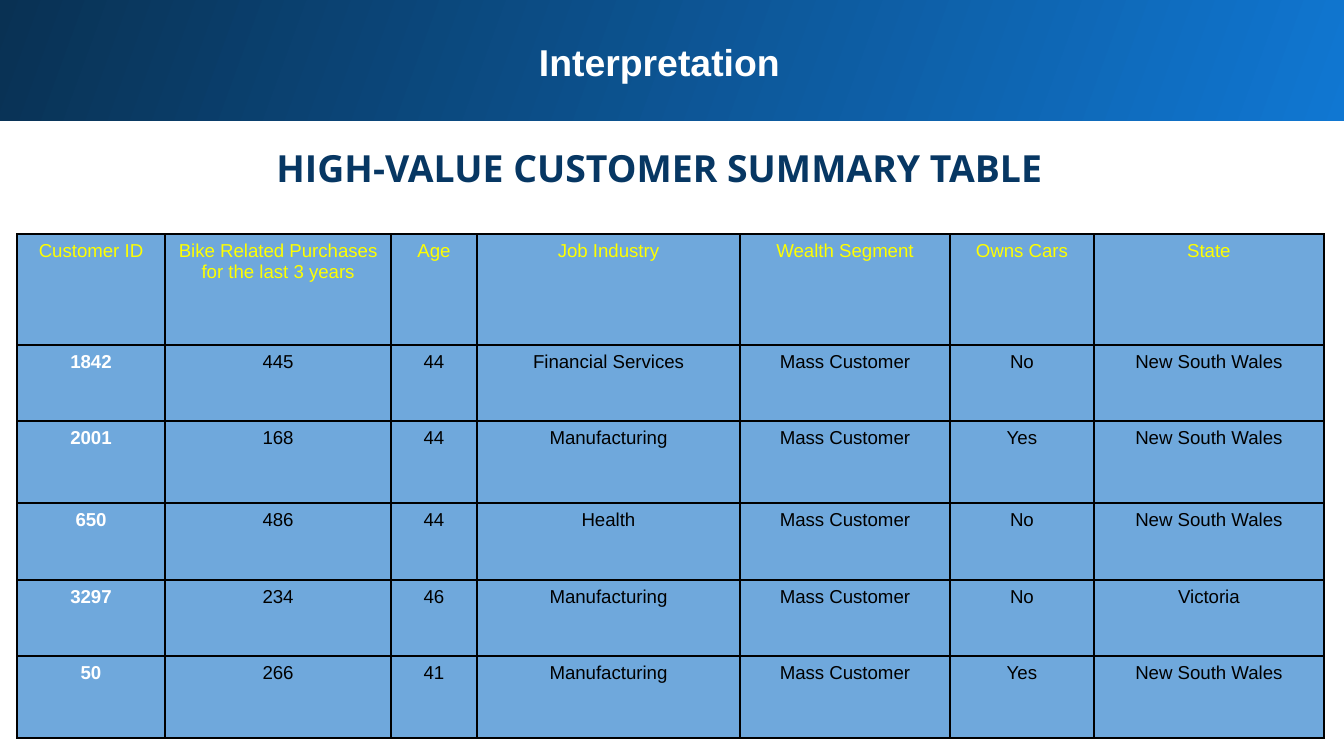
from dataclasses import dataclass

from lxml.etree import SubElement
from pptx import Presentation
from pptx.dml.color import RGBColor
from pptx.enum.shapes import MSO_SHAPE
from pptx.enum.text import MSO_ANCHOR, MSO_AUTO_SIZE, PP_ALIGN
from pptx.oxml.ns import qn
from pptx.util import Emu, Inches, Pt

EMU_PER_PX = 914400 / 134.4
CELL_FILL = "6FA8DC"
BORDER = "000000"


@dataclass(frozen=True)
class Box:
    """Position and size in px."""
    left: int
    top: int
    width: int
    height: int

    def emu(self) -> tuple:
        """Return the four lengths in EMU."""
        return tuple(px(n) for n in (self.left, self.top, self.width, self.height))


@dataclass(frozen=True)
class TextStyle:
    """Font settings of a paragraph."""
    size: int
    colour: str
    bold: bool = False
    font: str = "Arial"


@dataclass(frozen=True)
class Customer:
    """One row of the summary table."""
    customer_id: int
    purchases: int
    age: int
    industry: str
    owns_cars: str
    state: str = "New South Wales"
    segment: str = "Mass Customer"

    def values(self) -> tuple:
        """Return the cell texts in column order."""
        return (str(self.customer_id), str(self.purchases), str(self.age),
                self.industry, self.segment, self.owns_cars, self.state)


HEADING = TextStyle(20, "FFFFFF", bold=True)
SUBHEADING = TextStyle(20, "073763", bold=True, font="Open Sans")
COLUMN_HEAD = TextStyle(10, "FFFF00")
ID_CELL = TextStyle(10, "FFFFFF", bold=True)
BODY_CELL = TextStyle(10, "000000")

COLUMNS = {
    "Customer ID": 148,
    "Bike Related Purchases for the last 3 years": 226,
    "Age": 86,
    "Job Industry": 263,
    "Wealth Segment": 210,
    "Owns Cars": 144,
    "State": 230,
}
ROW_HEIGHTS = (111, 76, 82, 77, 76, 82)
CUSTOMERS = (
    Customer(1842, 445, 44, "Financial Services", "No"),
    Customer(2001, 168, 44, "Manufacturing", "Yes"),
    Customer(650, 486, 44, "Health", "No"),
    Customer(3297, 234, 46, "Manufacturing", "No", "Victoria"),
    Customer(50, 266, 41, "Manufacturing", "Yes"),
)


def px(length: int) -> Emu:
    """Turn px into EMU."""
    return Emu(round(length * EMU_PER_PX))


def rgb(colour: str) -> RGBColor:
    """Turn a hex string into a colour."""
    return RGBColor.from_string(colour)


def write(frame, text: str, style: TextStyle):
    """Fill a text frame with one centred paragraph and return it."""
    frame.text = text
    frame.word_wrap = True
    paragraph = frame.paragraphs[0]
    paragraph.alignment = PP_ALIGN.CENTER
    font = paragraph.font
    font.name, font.size, font.bold = style.font, Pt(style.size), style.bold
    font.color.rgb = rgb(style.colour)
    return paragraph


def place_text(shape, box: Box, text: str, style: TextStyle):
    """Position a text shape, write its text and return the paragraph."""
    shape.left, shape.top, shape.width, shape.height = box.emu()
    frame = shape.text_frame
    frame.auto_size = MSO_AUTO_SIZE.NONE
    frame.vertical_anchor = MSO_ANCHOR.TOP
    frame.margin_left = frame.margin_right = Inches(0.1)
    frame.margin_top = frame.margin_bottom = Inches(0.1)
    return write(frame, text, style)


def add_banner(slide, box: Box) -> None:
    """Draw the gradient banner behind the title."""
    banner = slide.shapes.add_shape(MSO_SHAPE.RECTANGLE, *box.emu())
    banner.shadow.inherit = False
    banner.line.fill.background()
    banner.fill.gradient()
    banner.fill.gradient_angle = 160
    for stop, colour in zip(banner.fill.gradient_stops, ("1077D2", "093153")):
        stop.color.rgb = rgb(colour)
    slide.shapes.title.element.addprevious(banner.element)


def format_cell(cell, text: str, style: TextStyle) -> None:
    """Write a cell and give it borders and a fill."""
    write(cell.text_frame, text, style)
    cell.margin_left = cell.margin_right = Inches(0.1)
    cell.margin_top = cell.margin_bottom = Inches(0.05)
    properties = cell.text_frame._txBody.getparent().get_or_add_tcPr()
    for side in ("a:lnL", "a:lnR", "a:lnT", "a:lnB"):
        line = SubElement(properties, qn(side), w=str(Pt(1)))
        solid = SubElement(line, qn("a:solidFill"))
        SubElement(solid, qn("a:srgbClr"), val=BORDER)
    cell.fill.solid()
    cell.fill.fore_color.rgb = rgb(CELL_FILL)


def add_customer_table(slide, left: int, top: int) -> None:
    """Draw the table of high-value customers."""
    box = Box(left, top, sum(COLUMNS.values()), sum(ROW_HEIGHTS))
    table = slide.shapes.add_table(len(ROW_HEIGHTS), len(COLUMNS), *box.emu()).table
    table.horz_banding = False
    for column, width in zip(table.columns, COLUMNS.values()):
        column.width = px(width)
    for row, height in zip(table.rows, ROW_HEIGHTS):
        row.height = px(height)
    for c, heading in enumerate(COLUMNS):
        format_cell(table.cell(0, c), heading, COLUMN_HEAD)
    for r, customer in enumerate(CUSTOMERS, start=1):
        for c, value in enumerate(customer.values()):
            format_cell(table.cell(r, c), value, BODY_CELL if c else ID_CELL)


def main() -> None:
    """Build and save the slide."""
    deck = Presentation()
    deck.slide_width, deck.slide_height = px(1344), px(756)
    slide = deck.slides.add_slide(deck.slide_layouts[5])
    add_banner(slide, Box(-3, -3, 1351, 124))
    place_text(slide.shapes.title, Box(30, 26, 1259, 86), "Interpretation", HEADING)
    subtitle_box = Box(30, 125, 1259, 75)
    subtitle = slide.shapes.add_textbox(*subtitle_box.emu())
    paragraph = place_text(subtitle, subtitle_box, "HIGH-VALUE CUSTOMER SUMMARY TABLE", SUBHEADING)
    paragraph.line_spacing = 1.15
    add_customer_table(slide, 17, 234)
    deck.save("out.pptx")


if __name__ == "__main__":
    main()
